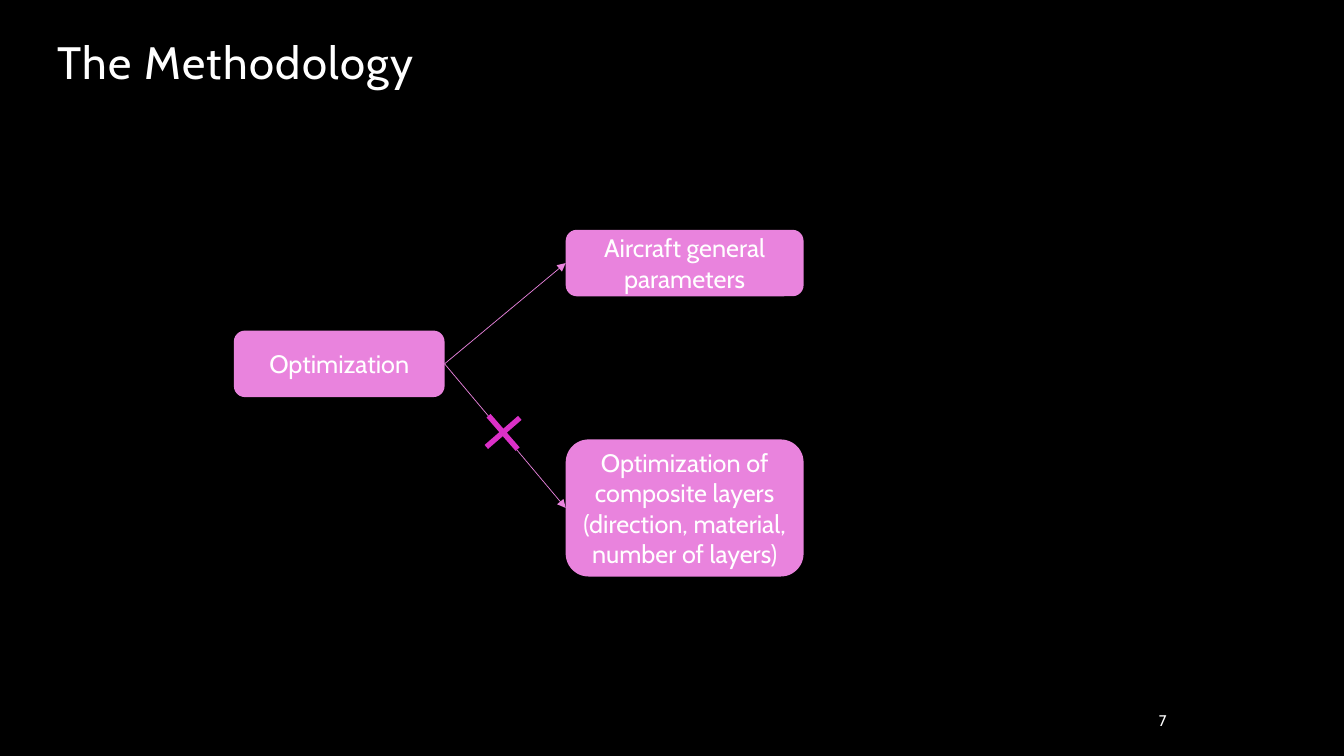
from lxml.etree import SubElement
from pptx import Presentation
from pptx.dml.color import RGBColor
from pptx.enum.shapes import MSO_CONNECTOR as LINE, MSO_SHAPE as SHAPE
from pptx.enum.text import MSO_ANCHOR as ANCHOR, MSO_AUTO_SIZE as FIT, PP_ALIGN as ALIGN
from pptx.oxml.ns import qn
from pptx.util import Inches, Pt

WHITE, PINK, MAGENTA = "FFFFFF", "E983DD", "DB30C7"
LEFT_SITE, RIGHT_SITE = 1, 3  # connection points of a rounded rectangle

deck = Presentation()
deck.slide_width, deck.slide_height = Inches(13.33), Inches(7.5)
page = deck.slides.add_slide(deck.slide_layouts[5])


def paint(target, hex_color):
    target.solid()
    target.fore_color.rgb = RGBColor.from_string(hex_color)


def area(left, top, width, height):
    """Turn percentages of the slide into left, top, width, height."""
    across, down = deck.slide_width / 100, deck.slide_height / 100
    return int(left * across), int(top * down), int(width * across), int(height * down)


paint(page.background.fill, "000000")

# Title and page number
title = page.shapes.title
title.left, title.top, title.width, title.height = area(3.53, 6.27, 51.09, 6.27)
title.text_frame.text = "The Methodology"
number = page.shapes.add_textbox(*area(80.65, 93.33, 6.9, 4))
number.text_frame.text = "7"
texts = [(title, 32.4, ALIGN.LEFT, ANCHOR.BOTTOM), (number, 11, ALIGN.RIGHT, ANCHOR.MIDDLE)]

# Boxes: the starting point, then its two branches
boxes = []
for label, place in [
    ("Optimization", (17.4, 43.73, 15.68, 8.8)),
    ("Aircraft general parameters", (42.09, 30.4, 17.7, 8.8)),
    ("Optimization of composite layers (direction, material, number of layers)",
     (42.09, 58.13, 17.7, 18.13)),
]:
    box = page.shapes.add_shape(SHAPE.ROUNDED_RECTANGLE, *area(*place))
    box.shadow.inherit = False
    paint(box.fill, PINK)
    box.line.fill.background()
    box.text_frame.text = label
    boxes.append(box)
    texts.append((box, 18, ALIGN.CENTER, ANCHOR.MIDDLE))

# Arrows from the starting point to each branch
start, *branches = boxes
for branch in branches:
    arrow = page.shapes.add_connector(LINE.STRAIGHT, 0, 0, 0, 0)
    arrow.begin_connect(start, RIGHT_SITE)
    arrow.end_connect(branch, LEFT_SITE)
    paint(arrow.line.fill, PINK)
    arrow.line.width = Pt(0.5)
    SubElement(arrow.line._get_or_add_ln(), qn("a:tailEnd"), type="triangle")
    SubElement(arrow._element.spPr, qn("a:effectLst"))

# Cross over the lower arrow
cross = page.shapes.add_shape(SHAPE.CROSS, *area(35.78, 54.27, 3.3, 5.87))
cross.adjustments[0] = 0.44
cross.rotation = 49
cross.shadow.inherit = False
paint(cross.fill, MAGENTA)
cross.line.fill.background()

# Text formatting
for shape, size, align, anchor in texts:
    frame = shape.text_frame
    frame.word_wrap = True
    frame.auto_size = FIT.NONE
    frame.vertical_anchor = anchor
    para = frame.paragraphs[0]
    para.alignment = align
    font = para.runs[0].font
    font.name = "Cabin"
    font.size = Pt(size)
    paint(font.fill, WHITE)

heading = title.text_frame.paragraphs[0]
heading.line_spacing = 0.9
heading.runs[0].font._element.set("spc", "100")

deck.save("out.pptx")
